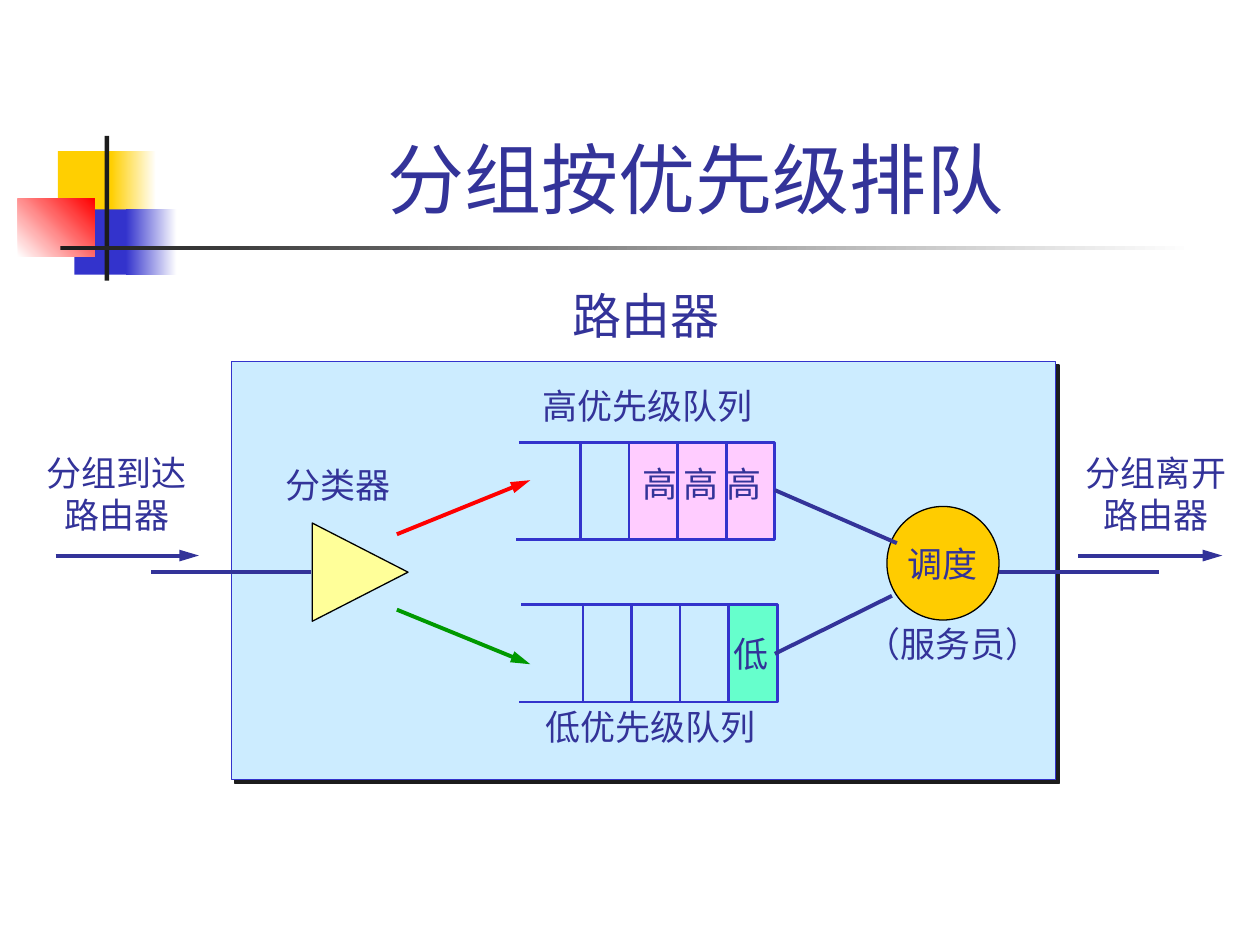
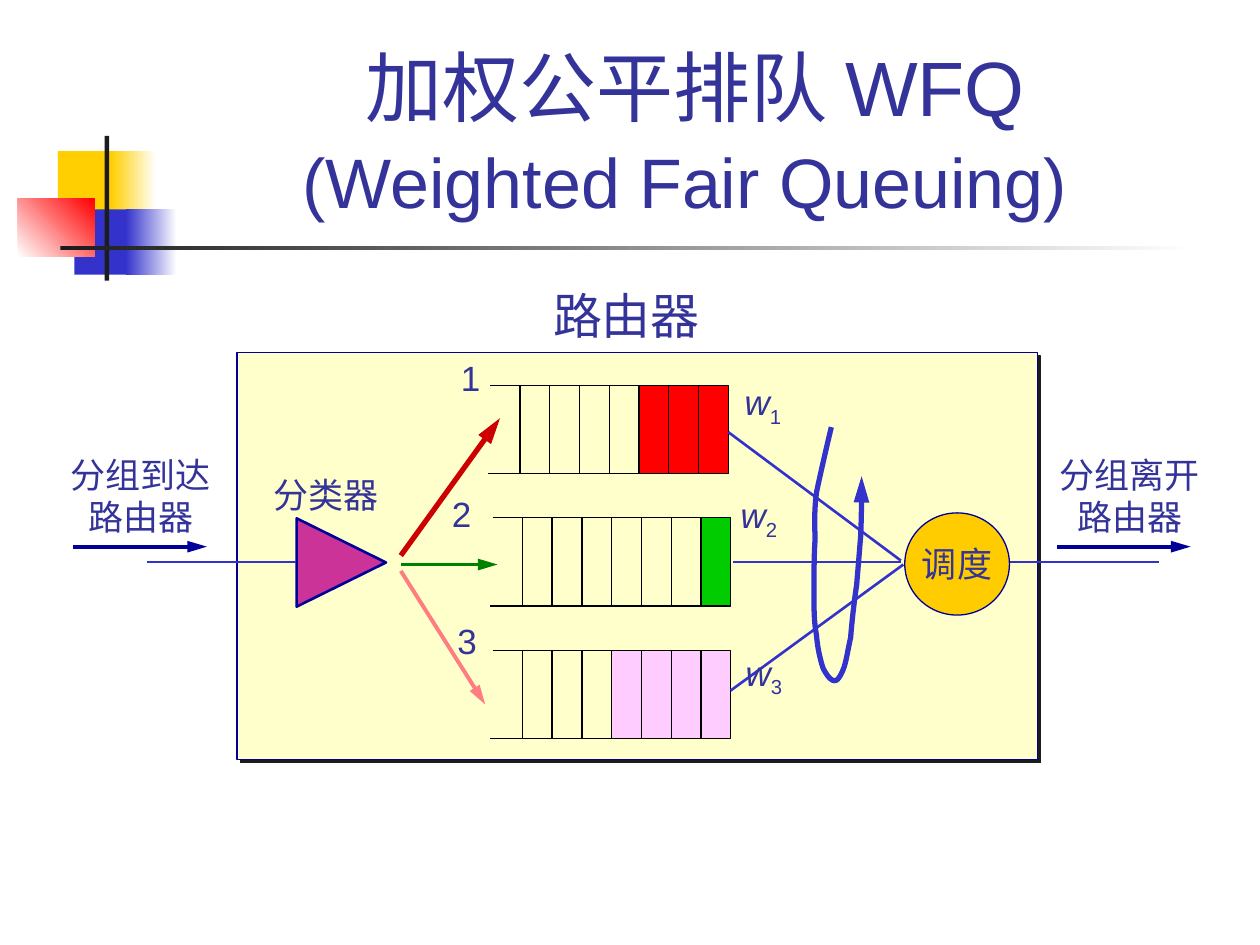
from itertools import pairwise
from lxml.etree import SubElement
from pptx import Presentation
from pptx.dml.color import RGBColor
from pptx.enum.shapes import MSO_CONNECTOR, MSO_SHAPE
from pptx.enum.text import MSO_ANCHOR, PP_ALIGN
from pptx.oxml.ns import qn
from pptx.util import Cm, Pt

FONT = "Arial"
INK, BLUE, NAVY, BLACK, WHITE = "333399", "3333CC", "000099", "1C1C1C", "FFFFFF"
YELLOW, GOLD, PINK = "FFCF01", "FFCC00", "FFCCFF"
TITLE_AREA = (3.2, 0.58, 21.64, 4.06)
ORNAMENT = [
    ((1.17, 3.05, 1.22, 1.32), (YELLOW,), 0),
    ((2.24, 3.05, 0.91, 1.32), (YELLOW, WHITE), 0),
    ((1.5, 4.22, 1.17, 1.32), (BLUE,), 0),
    ((2.54, 4.22, 1.02, 1.32), (BLUE, WHITE), 0),
    ((0.36, 4.01, 1.55, 1.17), (WHITE, "FF0000"), 45),
    ((2.11, 2.74, 0.09, 2.92), (BLACK,), 0),
    ((1.22, 4.95, 22.86, 0.09), (BLACK, WHITE), 0),
]

ARRIVE, LEAVE = "分组到达\n路由器", "分组离开\n路由器"


def weight(number):
    return [("w", {"italic": True}), (number, {"baseline": -25})]


PRIORITY = {
    "title": [("分组按优先级排队", 44)],
    "router": ((4.67, 7.29, 16.61, 8.43), "CCECFF", BLUE),
    "classifier": ((6.27, 10.57, 1.98, 1.93), "FFFF99", "000000", 0.75),
    "scheduler": ((17.88, 10.21, 2.26, 2.29), "000000"),
    "queue": {"length": 5.16, "height": 1.96, "slot": 0.98, "slots": 4, "color": BLUE, "width": 1.5},
    "queues": [(15.62, 8.92, 3, PINK), (15.67, 12.19, 1, "66FFCC")],
    "arrows": [
        (1.12, 11.2, 4.01, 11.2, INK, 2.25),
        (21.74, 11.2, 24.64, 11.2, INK, 2.25),
        (8, 10.77, 10.69, 9.68, "FF0000", 2.25),
        (8, 12.29, 10.69, 13.39, "009900", 2.25),
    ],
    "links": [
        (15.62, 9.88, 18.08, 10.95, INK, 2.25),
        (15.62, 13.18, 17.98, 12.01, INK, 2.25),
        (20.14, 11.53, 23.37, 11.53, INK, 2.25),
        (3.05, 11.53, 6.27, 11.53, INK, 2.25),
    ],
    "cycle": [],
    "labels": [
        (11.3, 5.64, 3.48, "路由器", 28),
        (10.69, 7.62, 4.75, "高优先级队列", 20),
        (10.74, 14.1, 4.75, "低优先级队列", 20),
        (0.69, 8.97, 3.33, ARRIVE, 20),
        (21.64, 8.97, 3.33, LEAVE, 20),
        (5.51, 9.22, 2.62, "分类器", 20),
        (17.2, 12.42, 4.04, "（服务员）", 20),
        (12.7, 9.19, 2.97, [("高", {}), (" ", {"size": Pt(16)}), ("高 高", {})], 20),
        (14.53, 12.62, 1.22, "低", 20),
    ],
}

WEIGHTED = {
    "title": [("加权公平排队 WFQ\n", 44), ("(Weighted Fair Queuing)", 40), (" ", 44)],
    "router": ((4.78, 7.11, 16.13, 8.2), "FFFFCC", NAVY),
    "classifier": ((5.99, 10.44, 1.78, 1.8), "CC3399", NAVY, 1.5),
    "scheduler": ((18.24, 10.34, 2.11, 2.06), NAVY),
    "queue": {"length": 4.8, "height": 1.78, "slot": 0.6, "slots": 7, "color": "000000", "width": 0.75},
    "queues": [(14.68, 7.77, 3, "FF0000"), (14.73, 10.44, 1, "00CC00"), (14.73, 13.11, 4, PINK)],
    "arrows": [
        (1.47, 11.02, 4.17, 11.02, NAVY, 2.25),
        (21.31, 11.02, 24, 11.02, NAVY, 2.25),
        (8.08, 11.2, 10.08, 8.43, "CC0000", 3),
        (8.08, 11.38, 10.03, 11.38, "008000", 2.25),
        (8.08, 11.51, 9.78, 14.2, "FF7C80", 2.25),
    ],
    "links": [
        (14.68, 8.71, 18.16, 11.3, BLUE, 1.5),
        (14.78, 11.33, 18.16, 11.33, BLUE, 1.5),
        (14.73, 13.92, 18.21, 11.38, BLUE, 1.5),
        (20.37, 11.33, 23.37, 11.33, BLUE, 1.5),
        (2.97, 11.33, 5.97, 11.33, BLUE, 1.5),
    ],
    "cycle": [
        ((16.76, 8.61),),
        ((16.71, 8.81), (16.54, 9.55), (16.46, 9.93)),
        ((16.41, 10.31), (16.43, 10.57), (16.43, 10.9)),
        ((16.41, 11.23), (16.41, 11.63), (16.41, 11.96)),
        ((16.41, 12.27), (16.41, 12.55), (16.46, 12.8)),
        ((16.48, 13.06), (16.54, 13.31), (16.59, 13.46)),
        ((16.66, 13.61), (16.76, 13.74), (16.84, 13.72)),
        ((16.89, 13.72), (16.97, 13.59), (17.02, 13.44)),
        ((17.07, 13.28), (17.09, 13.11), (17.15, 12.85)),
        ((17.17, 12.57), (17.22, 12.12), (17.27, 11.79)),
        ((17.3, 11.46), (17.32, 11.18), (17.35, 10.82)),
        ((17.37, 10.46), (17.37, 9.86), (17.37, 9.6)),
    ],
    "labels": [
        (10.9, 5.64, 3.48, "路由器", 28),
        (1.17, 9.02, 3.33, ARRIVE, 20),
        (21.11, 9.02, 3.33, LEAVE, 20),
        (5.26, 9.42, 2.62, "分类器", 20),
        (14.76, 7.54, 1.27, weight("1"), 20),
        (14.68, 9.83, 1.27, weight("2"), 20),
        (14.78, 13, 1.27, weight("3"), 20),
        (9.04, 7.06, 0.97, "1", 20),
        (8.86, 9.8, 0.97, "2", 20),
        (8.97, 12.37, 0.97, "3", 20),
    ],
}


def rgb(value):
    return RGBColor.from_string(value)


def style_line(shape, color, width, arrow=False):
    shape.line.color.rgb = rgb(color)
    shape.line.width = Pt(width)
    if arrow:
        line = shape._element.spPr.find(qn("a:ln"))
        SubElement(line, qn("a:tailEnd"), type="triangle", w="med", len="lg")


def style_text(paragraph, size, align=PP_ALIGN.LEFT):
    paragraph.alignment = align
    paragraph.font.name = FONT
    paragraph.font.size = Pt(size)
    paragraph.font.color.rgb = rgb(INK)


def add_block(page, kind, area, fill, line=None, width=0.75):
    shape = page.shapes.add_shape(kind, *map(Cm, area))
    shape.shadow.inherit = False
    shape.fill.solid()
    shape.fill.fore_color.rgb = rgb(fill)
    if line:
        style_line(shape, line, width)
    else:
        shape.line.fill.background()
    return shape


def add_line(page, x1, y1, x2, y2, color, width, arrow=False):
    line = page.shapes.add_connector(MSO_CONNECTOR.STRAIGHT, *map(Cm, (x1, y1, x2, y2)))
    style_line(line, color, width, arrow)
    SubElement(line._element.spPr, qn("a:effectLst"))


def add_path(page, points, color, width, arrow=False):
    start, *rest = [(Cm(x), Cm(y)) for x, y in points]
    builder = page.shapes.build_freeform(*start)
    builder.add_line_segments(rest, close=False)
    shape = builder.convert_to_shape()
    shape.shadow.inherit = False
    shape.fill.background()
    style_line(shape, color, width, arrow)


def add_ornament(page):
    for area, colors, angle in ORNAMENT:
        shape = add_block(page, MSO_SHAPE.RECTANGLE, area, colors[0])
        if len(colors) > 1:
            shape.fill.gradient()
            shape.fill.gradient_angle = angle
            for stop, color in zip(shape.fill.gradient_stops, colors):
                stop.color.rgb = rgb(color)


def add_title(page, parts):
    box = page.shapes.add_textbox(*map(Cm, TITLE_AREA))
    box.text_frame.word_wrap = True
    box.text_frame.vertical_anchor = MSO_ANCHOR.BOTTOM
    paragraph = box.text_frame.paragraphs[0]
    style_text(paragraph, 44, PP_ALIGN.CENTER)
    for text, size in parts:
        span = paragraph.add_run()
        span.text = text.rstrip("\n")
        if size != 44:
            span.font.size = Pt(size)
        if text.endswith("\n"):
            paragraph.add_line_break()


def add_router(page, area, fill, line):
    router = add_block(page, MSO_SHAPE.RECTANGLE, area, fill, line)
    effects = router._element.spPr.find(qn("a:effectLst"))
    shadow = SubElement(effects, qn("a:outerShdw"), blurRad="0", dist=str(Pt(2.8)),
                        dir="2700000", algn="ctr", rotWithShape="0")
    SubElement(shadow, qn("a:srgbClr"), val=BLACK)


def add_queue(page, right, top, packets, fill, length, height, slot, slots, color, width):
    bottom = top + height
    filled = packets * slot
    add_block(page, MSO_SHAPE.RECTANGLE, (right - filled, top, filled, height), fill)
    outline = [(right - length, top), (right, top), (right, bottom), (right - length - 0.05, bottom)]
    add_path(page, outline, color, width)
    for index in range(1, slots + 1):
        x = right - index * slot
        add_line(page, x, top, x, bottom, color, width)


def add_scheduler(page, area, line):
    scheduler = add_block(page, MSO_SHAPE.OVAL, area, GOLD, line)
    frame = scheduler.text_frame
    frame.word_wrap = False
    frame.vertical_anchor = MSO_ANCHOR.MIDDLE
    frame.text = "调度"
    style_text(frame.paragraphs[0], 20, PP_ALIGN.CENTER)


def add_cycle(page, segments):
    points = list(segments[0])
    for before, (first, second, end) in pairwise(segments):
        corners = (before[-1], first, second, end)
        for step in range(1, 9):
            t = step / 8
            shares = ((1 - t) ** 3, 3 * t * (1 - t) ** 2, 3 * t * t * (1 - t), t ** 3)
            points.append(tuple(sum(s * c[axis] for s, c in zip(shares, corners)) for axis in (0, 1)))
    add_path(page, points, BLUE, 3, True)


def add_label(page, left, top, width, content, size):
    rows = [[(row, {})] for row in content.split("\n")] if isinstance(content, str) else [content]
    height = Pt(size * 1.2 * len(rows)) + Cm(0.25)
    box = page.shapes.add_textbox(Cm(left), Cm(top), Cm(width), height)
    frame = box.text_frame
    frame.word_wrap = False
    for index, row in enumerate(rows):
        paragraph = frame.add_paragraph() if index else frame.paragraphs[0]
        style_text(paragraph, size, PP_ALIGN.CENTER if len(rows) > 1 else PP_ALIGN.LEFT)
        for text, look in row:
            span = paragraph.add_run()
            span.text = text
            for name, value in look.items():
                if name == "baseline":
                    span._r.get_or_add_rPr().set("baseline", str(value * 1000))
                else:
                    setattr(span.font, name, value)


def add_diagram(deck, content):
    page = deck.slides.add_slide(deck.slide_layouts[6])
    add_ornament(page)
    add_title(page, content["title"])
    add_router(page, *content["router"])
    for queue in content["queues"]:
        add_queue(page, *queue, **content["queue"])
    classifier = add_block(page, MSO_SHAPE.ISOSCELES_TRIANGLE, *content["classifier"])
    classifier.rotation = 90
    add_scheduler(page, *content["scheduler"])
    for arrow in content["arrows"]:
        add_line(page, *arrow, arrow=True)
    for link in content["links"]:
        add_line(page, *link)
    if content["cycle"]:
        add_cycle(page, content["cycle"])
    for label in content["labels"]:
        add_label(page, *label)


def main():
    deck = Presentation()
    deck.slide_width, deck.slide_height = Cm(25.4), Cm(19.05)
    for content in (PRIORITY, WEIGHTED):
        add_diagram(deck, content)
    deck.save("out.pptx")


if __name__ == "__main__":
    main()
